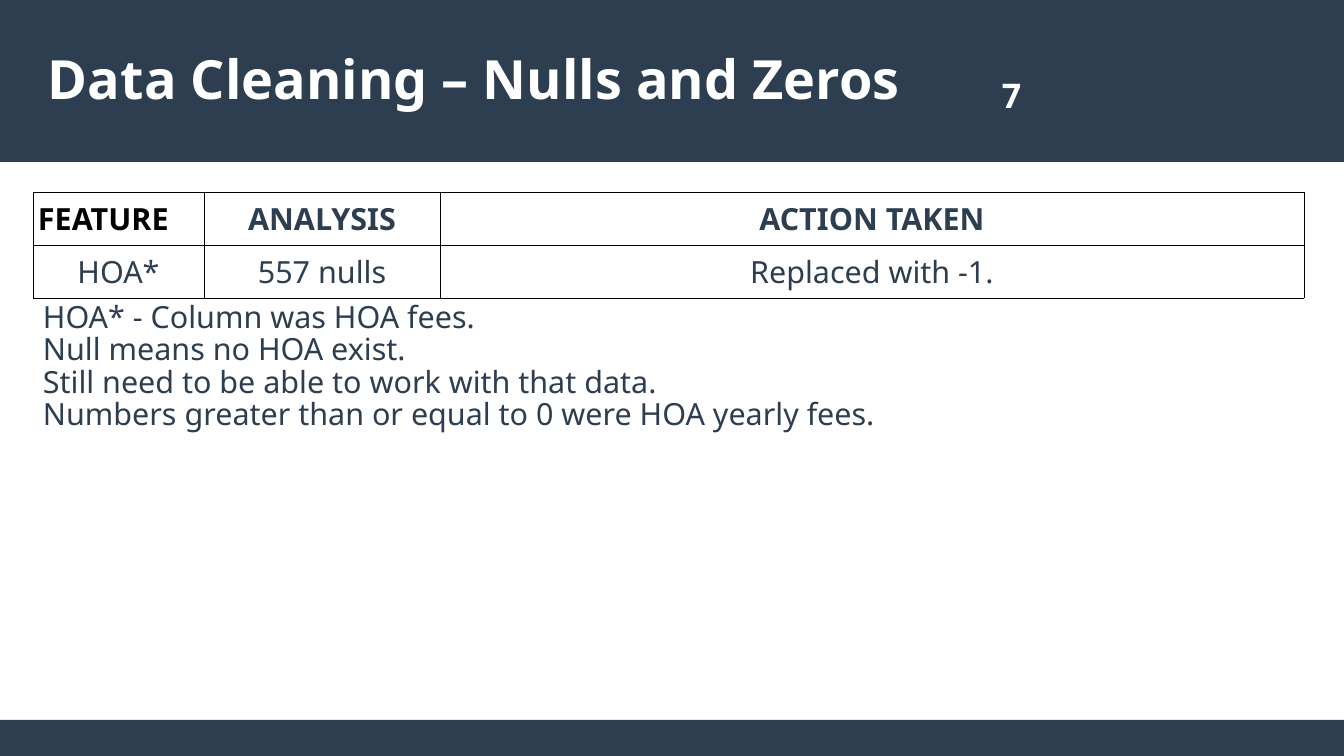
import pptx
import pptx.dml.color
import pptx.enum.shapes
import pptx.enum.text
import pptx.oxml.ns
import pptx.util
from lxml import etree

RGBColor = pptx.dml.color.RGBColor
NAVY = RGBColor(0x2C, 0x3E, 0x50)
WHITE = RGBColor(0xFF, 0xFF, 0xFF)
BLACK = RGBColor(0, 0, 0)
ALIGN = pptx.enum.text.PP_ALIGN
ANCHOR = pptx.enum.text.MSO_ANCHOR
SCALE = 7495


def px(*sizes):
    return [pptx.util.Emu(size * SCALE) for size in sizes]


def write(frame, text, size=18, color=NAVY, bold=False, align=ALIGN.LEFT,
          spacing=None, font="Noto Sans"):
    frame.text = text
    for para in frame.paragraphs:
        para.alignment = align
        if spacing:
            para.line_spacing = spacing
        for run in para.runs:
            run.font.name = font
            run.font.size = pptx.util.Pt(size)
            run.font.bold = bold
            run.font.color.rgb = color


class Deck:
    """Holds the slide and its style, and draws each kind of element."""

    def __init__(self, width, height):
        self.show = pptx.Presentation()
        self.show.slide_width, self.show.slide_height = px(width, height)
        self.slide = self.show.slides.add_slide(self.show.slide_layouts[6])
        self.shapes = self.slide.shapes

    def band(self, *box):
        kind = pptx.enum.shapes.MSO_SHAPE.RECTANGLE
        shape = self.shapes.add_shape(kind, *px(*box))
        shape.shadow.inherit = False
        shape.fill.solid()
        shape.fill.fore_color.rgb = NAVY
        shape.line.fill.background()

    def text(self, text, *box, inset=(12, 6), anchor=ANCHOR.TOP, **style):
        frame = self.shapes.add_textbox(*px(*box)).text_frame
        frame.word_wrap = True
        frame.vertical_anchor = anchor
        side, edge = px(*inset)
        frame.margin_left = frame.margin_right = side
        frame.margin_top = frame.margin_bottom = edge
        write(frame, text, **style)

    def border(self, cell):
        props = cell._tc.get_or_add_tcPr()
        name = pptx.oxml.ns.qn
        for side in ("a:lnL", "a:lnR", "a:lnT", "a:lnB"):
            line = etree.SubElement(props, name(side), w=str(pptx.util.Pt(0.57)))
            fill = etree.SubElement(line, name("a:solidFill"))
            etree.SubElement(fill, name("a:srgbClr"), val=str(BLACK))

    def table(self, rows, left, top, widths, height):
        box = px(left, top, sum(widths), height * len(rows))
        table = self.shapes.add_table(len(rows), len(widths), *box).table
        for col, width in zip(table.columns, px(*widths)):
            col.width = width
        for i, row in enumerate(rows):
            for j, text in enumerate(row):
                cell = table.cell(i, j)
                cell.margin_left, cell.margin_right = px(5, 5)
                cell.margin_top, cell.margin_bottom = px(6, 6)
                self.border(cell)
                cell.fill.solid()
                cell.fill.fore_color.rgb = WHITE
                first = i == j == 0
                write(cell.text_frame, text, bold=i == 0,
                      color=BLACK if first else NAVY,
                      align=ALIGN.LEFT if first else ALIGN.CENTER)


def main():
    deck = Deck(1344, 756)
    deck.band(0, 720, 1344, 36)
    deck.band(0, 0, 1344, 162)
    deck.text("Data Cleaning – Nulls and Zeros", 48, 41, 1248, 73,
              inset=(0, 0), anchor=ANCHOR.MIDDLE, size=31.9, color=WHITE,
              bold=True)
    deck.text("7", 712, 67, 599, 55, anchor=ANCHOR.MIDDLE, size=20,
              color=WHITE, bold=True, align=ALIGN.CENTER)
    deck.table([("FEATURE", "ANALYSIS", "ACTION TAKEN"),
                ("HOA*", "557 nulls", "Replaced with -1.")],
               33, 192, (171, 236, 864), 53)
    notes = ("HOA* - Column was HOA fees.",
             "Null means no HOA exist.",
             "Still need to be able to work with that data.",
             "Numbers greater than or equal to 0 were HOA yearly fees.")
    deck.text("\n".join(notes), 31, 297, 1159, 195, spacing=0.88)
    deck.show.save("out.pptx")


if __name__ == "__main__":
    main()
